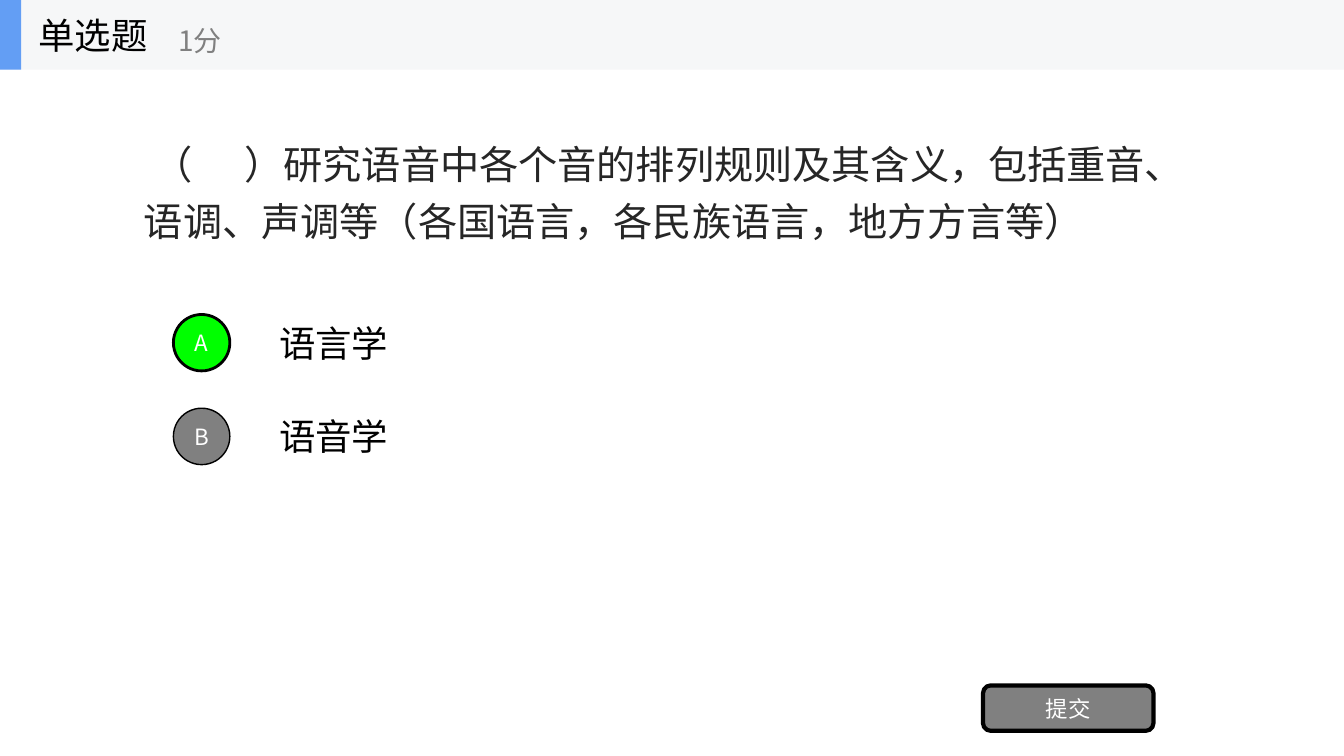
"""Build a single-choice quiz slide with two answers and a submit button."""
from pptx import Presentation
from pptx.dml.color import RGBColor
from pptx.enum.shapes import MSO_SHAPE as Shape
from pptx.enum.text import MSO_ANCHOR as Anchor, MSO_AUTO_SIZE as AutoSize, PP_ALIGN as Align
from pptx.oxml.xmlchemy import OxmlElement
from pptx.util import Inches, Pt

FONT = "Noto Sans CJK SC"
COLORS = {
    "bar": "F6F7F8", "accent": "639EF4", "black": "000000", "question": "262626",
    "gray": "808080", "correct": "00FF00", "white": "FFFFFF",
}
HEADER_HEIGHT = 0.69
FIRST_ANSWER, ANSWER_STEP, ANSWER_HEIGHT = 3.05, 0.93, 0.7
CIRCLE = 0.56
BLANK_SPACING = 31


def write(box, texts, size, color, align=Align.LEFT):
    frame = box.text_frame
    frame.word_wrap = True
    frame.auto_size = AutoSize.NONE
    frame.vertical_anchor = Anchor.MIDDLE
    para = frame.paragraphs[0]
    para.alignment = align
    for text in texts:
        span = para.add_run()
        span.text = text
        span.font.size = Pt(size)
        span.font.name = FONT
        span.font.color.rgb = RGBColor.from_string(COLORS[color])
        east_asian = OxmlElement("a:ea")
        east_asian.set("typeface", FONT)
        span.font._element.append(east_asian)
    return para


def draw(kind, left, top, width, height, fill, line_width=0):
    shape = slide.shapes.add_shape(kind, *map(Inches, (left, top, width, height)))
    shape.shadow.inherit = False
    shape.fill.solid()
    shape.fill.fore_color.rgb = RGBColor.from_string(COLORS[fill])
    if line_width:
        shape.line.color.rgb = RGBColor.from_string(COLORS["black"])
        shape.line.width = Pt(line_width)
    else:
        shape.line.fill.background()
    return shape


deck = Presentation()
deck.slide_width, deck.slide_height = Inches(13.33), Inches(7.5)
slide = deck.slides.add_slide(deck.slide_layouts[5])

question = slide.shapes.add_textbox(Inches(1.33), Inches(HEADER_HEIGHT), Inches(10.67), Inches(2.34))
question_parts = [
    "（",
    " ",
    "）研究语音中各个音的排列规则及其含义，包括重音、语调、声调等（各国语言，各民族语言，地方方言等）",
]
para = write(question, question_parts, 28, "question")
para.line_spacing = 1.2
properties = para._p.get_or_add_pPr()
properties.set("marL", "0")
properties.set("indent", str(Inches(0.09)))
blank = para.runs[1]
blank.font._element.set("spc", str(BLANK_SPACING * 100))

answers = [("A", "语言学", "correct", 2), ("B", "语音学", "gray", 1)]
for row, (letter, answer, fill, line_width) in enumerate(answers):
    top = FIRST_ANSWER + row * ANSWER_STEP
    box = slide.shapes.add_textbox(Inches(2.67), Inches(top), Inches(9.33), Inches(ANSWER_HEIGHT))
    write(box, [answer], 26, "black")
    circle_top = top + (ANSWER_HEIGHT - CIRCLE) / 2
    circle = draw(Shape.OVAL, 1.72, circle_top, CIRCLE, CIRCLE, fill, line_width)
    write(circle, [letter], 16, "white", Align.CENTER)

submit = draw(Shape.ROUNDED_RECTANGLE, 9.75, 6.8, 1.69, 0.45, "gray", 3)
write(submit, ["提交"], 16, "white", Align.CENTER)

draw(Shape.RECTANGLE, 0, 0, 13.33, HEADER_HEIGHT, "bar")
draw(Shape.RECTANGLE, 0, 0, 0.21, HEADER_HEIGHT, "accent")

title = slide.shapes.title
title.left, title.top = Inches(0.28), Inches(0)
title.width, title.height = Inches(2.08), Inches(HEADER_HEIGHT)
write(title, ["单选题"], 26, "black")
title.element.getparent().append(title.element)

score = slide.shapes.add_textbox(Inches(1.67), Inches(0.12), Inches(2.5), Inches(0.56))
write(score, ["1分"], 20, "gray")

deck.save("out.pptx")
